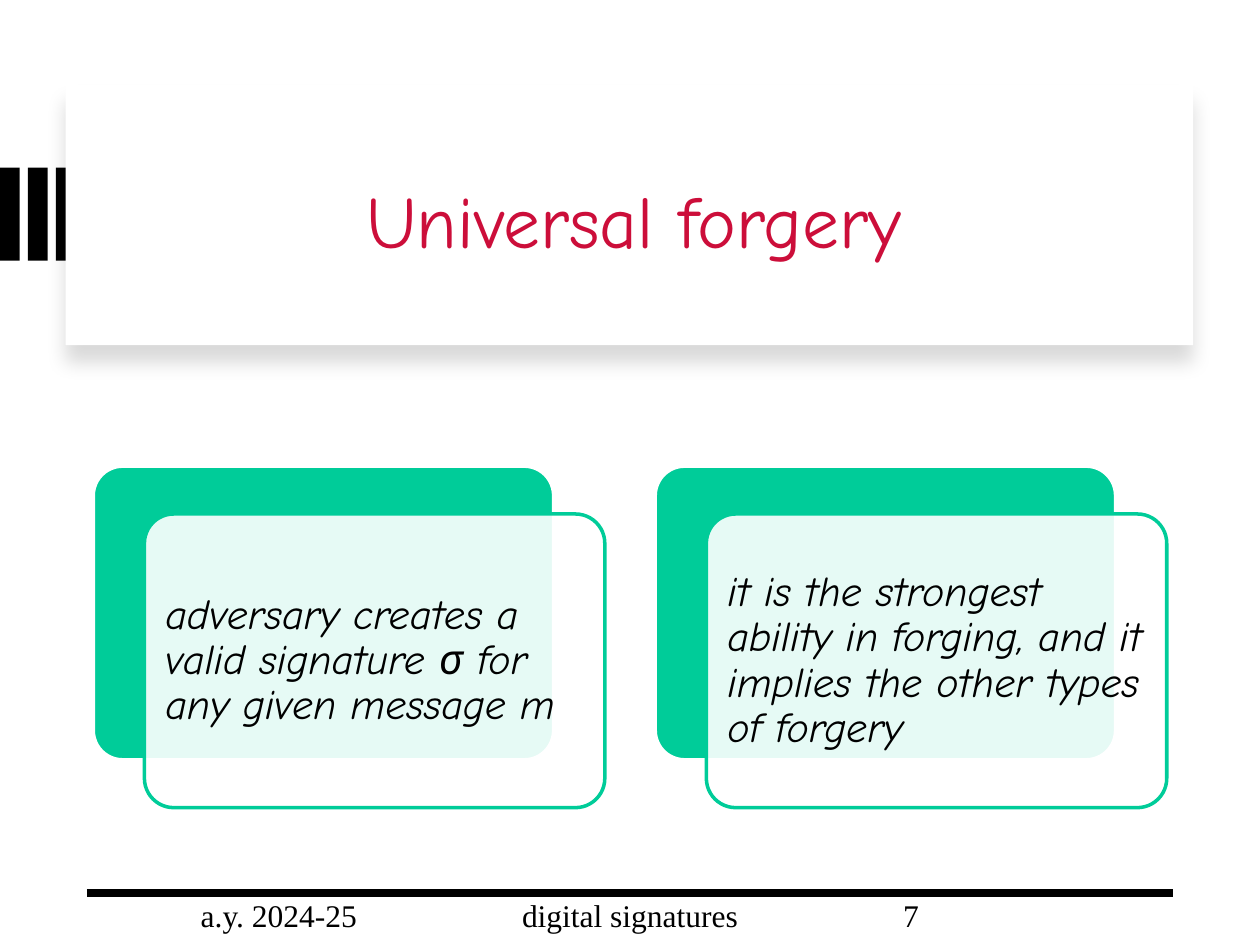
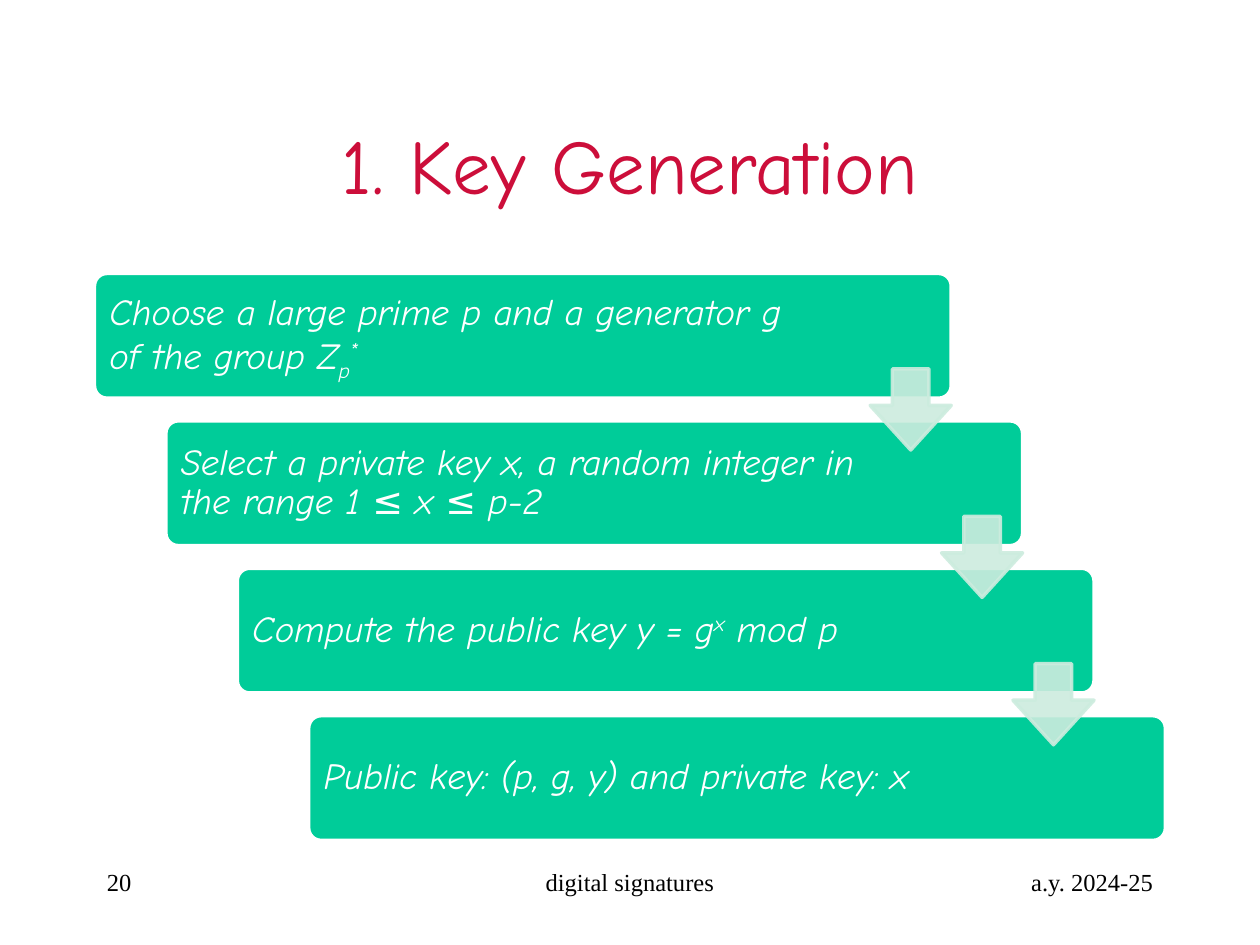
from collections import namedtuple

from lxml import etree
from pptx import Presentation
from pptx.dml.color import RGBColor
from pptx.enum.shapes import MSO_CONNECTOR as LINE, MSO_SHAPE as SHAPE
from pptx.enum.text import MSO_ANCHOR as ANCHOR, PP_ALIGN as ALIGN
from pptx.oxml.ns import qn
from pptx.util import Inches, Pt

# Shared look
COLORS = {"title": "CC0E3A", "green": "00CC99", "mint": "CCECDE",
          "black": "000000", "white": "FFFFFF"}
SCRIPT, SERIF = "Comic Neue", "Times New Roman"
SUB, SUPER = -25, 30

# Square grid: 100 columns by 75 rows
SLIDE_W, SLIDE_H = Inches(10), Inches(7.5)
COL, ROW = SLIDE_W / 100, SLIDE_H / 75
Box = namedtuple("Box", "x y w h")


def place(box):
    return [round(v * unit) for v, unit in zip(box, (COL, ROW, COL, ROW))]


def rgb(name):
    return RGBColor.from_string(COLORS[name])


def set_opacity(el, percent):
    for clr in el.iter(qn("a:srgbClr")):
        etree.SubElement(clr, qn("a:alpha"), val=str(percent * 1000))


def add_shape(s, kind, box, fill, line=None, adj=(), fill_opacity=None,
              line_opacity=None):
    sp = s.shapes.add_shape(kind, *place(box))
    sp.shadow.inherit = False
    for i, value in enumerate(adj):
        sp.adjustments[i] = value
    sp.fill.solid()
    sp.fill.fore_color.rgb = rgb(fill)
    if line:
        sp.line.color.rgb = rgb(line)
        sp.line.width = Pt(2)
    else:
        sp.line.fill.background()
    sp_pr = sp._element.spPr
    if fill_opacity:
        set_opacity(sp_pr.find(qn("a:solidFill")), fill_opacity)
    if line_opacity:
        set_opacity(sp_pr.find(qn("a:ln")), line_opacity)
    return sp


def write(sp, text, size, font=SCRIPT, color="black", italic=False,
          align=ALIGN.LEFT, anchor=ANCHOR.MIDDLE, spacing=None, margins=None):
    """Text is a string or a list of (string, baseline percent) pairs."""
    tf = sp.text_frame
    tf.word_wrap = True
    tf.vertical_anchor = anchor
    if margins:
        tf.margin_left, tf.margin_top, tf.margin_right, tf.margin_bottom = [
            round(m * COL) for m in margins]
    p = tf.paragraphs[0]
    p.alignment = align
    if spacing:
        p.line_spacing = spacing
    for part, baseline in [(text, 0)] if isinstance(text, str) else text:
        r = p.add_run()
        r.text = part
        r.font.size, r.font.name, r.font.italic = Pt(size), font, italic
        r.font.color.rgb = rgb(color)
        if baseline:
            r._r.get_or_add_rPr().set("baseline", str(baseline * 1000))


def add_text(s, box, text, size, **fmt):
    write(s.shapes.add_textbox(*place(box)), text, size, **fmt)


def add_title(s, box, text, size):
    add_text(s, box, text, size, color="title", align=ALIGN.CENTER)


def add_footer(s, box, side_share, mid_share, labels, size, spacing=None):
    """Left, centre and right labels; label alignment is given with each."""
    side, mid = box.w * side_share, box.w * mid_share
    starts = (0, (box.w - mid) / 2, box.w - side)
    for x, w, (text, align) in zip(starts, (side, mid, side), labels):
        add_text(s, Box(box.x + x, box.y, w, box.h), text, size, font=SERIF,
                 align=align, anchor=ANCHOR.TOP, spacing=spacing)


def add_stripes(s, box, count=3):
    pitch = box.w * 0.37
    for i in range(count):
        add_shape(s, SHAPE.RECTANGLE,
                  Box(box.x + i * pitch, box.y, box.w - 2 * pitch, box.h),
                  "black")


def add_banner(s, box):
    sp = add_shape(s, SHAPE.RECTANGLE, box, "white")
    effects = sp._element.spPr.find(qn("a:effectLst"))
    shadow = etree.SubElement(
        effects, qn("a:outerShdw"), blurRad=str(Pt(11)), dist=str(Pt(10)),
        dir="5400000", algn="t", rotWithShape="0")
    etree.SubElement(shadow, qn("a:srgbClr"), val=COLORS["black"])
    set_opacity(shadow, 15)


def add_rule(s, x, y, w):
    left, top, width, _ = place(Box(x, y, w, 0))
    ln = s.shapes.add_connector(LINE.STRAIGHT, left, top, left + width, top)
    ln.line.color.rgb = rgb("black")
    ln.line.width = Pt(4.5)
    etree.SubElement(ln._element.spPr, qn("a:effectLst"))


def add_cards(s, box, texts, gap=4):
    """Equal cells, each a green card with a pale card shifted over it."""
    cell = (box.w - gap * (len(texts) - 1)) / len(texts)
    w, h = cell * 0.9, box.h * 0.86
    for i, text in enumerate(texts):
        x = box.x + i * (cell + gap)
        add_shape(s, SHAPE.ROUNDED_RECTANGLE, Box(x, box.y, w, h),
                  "green", "white", [0.1])
        front = add_shape(s, SHAPE.ROUNDED_RECTANGLE,
                          Box(x + cell - w, box.y + box.h - h, w, h),
                          "white", "green", [0.1], fill_opacity=90)
        write(front, text, 24, italic=True, spacing=0.9, margins=[1] * 4)


def add_staircase(s, box, steps):
    """Steps run from top left to bottom right, joined by block arrows."""
    w, h = box.w * 0.8, box.h * 0.22
    dx, dy = [(full - part) / (len(steps) - 1)
              for full, part in ((box.w, w), (box.h, h))]
    for i, text in enumerate(steps):
        sp = add_shape(s, SHAPE.ROUNDED_RECTANGLE,
                       Box(box.x + i * dx, box.y + i * dy, w, h),
                       "green", "white", [0.1])
        write(sp, text, 21, color="white", italic=True, spacing=0.9,
              margins=(0.9, 0.9, 12.7, 0.9))
    # Arrows, each centred on the gap below a step
    size = h * 0.65
    for i in range(len(steps) - 1):
        add_shape(s, SHAPE.DOWN_ARROW,
                  Box(box.x + i * dx + w - size,
                      box.y + i * dy + (h + dy - size) / 2, size, size),
                  "mint", "mint", [0.45, 0.55],
                  fill_opacity=90, line_opacity=90)


def forgery_slide(s):
    add_stripes(s, Box(0, 13.3, 6, 7.4))
    add_banner(s, Box(5.2, 6.7, 89.5, 20.7))
    add_title(s, Box(8.6, 8.9, 83.4, 17), "Universal forgery", 42)
    add_rule(s, 6.9, 70.9, 86.2)
    add_footer(s, Box(6.9, 71, 86.2, 4), 0.26, 0.39,
               [("a.y. 2024-25", ALIGN.RIGHT),
                ("digital signatures", ALIGN.CENTER),
                ("7", ALIGN.LEFT)], 18, spacing=0.9)
    add_cards(s, Box(7.4, 37, 85.2, 27.1), [
        "adversary creates a valid signature σ for any given message m",
        "it is the strongest ability in forging, and it implies the other "
        "types of forgery"])


def key_generation_slide(s):
    add_title(s, Box(7.5, 6.7, 85, 12.5), "1. Key Generation", 44)
    add_staircase(s, Box(7.5, 21.7, 85, 45), [
        [("Choose a large prime p and a generator g of the group Z", 0),
         ("p", SUB), ("*", SUPER)],
        "Select a private key x, a random integer in the range 1 ≤ x ≤ p-2",
        [("Compute the public key y = g", 0), ("x", SUPER), (" mod p", 0)],
        "Public key: (p, g, y) and private key: x"])
    add_footer(s, Box(7.5, 68.3, 85, 5), 0.25, 0.37,
               [("20", ALIGN.LEFT),
                ("digital signatures", ALIGN.CENTER),
                ("a.y. 2024-25", ALIGN.RIGHT)], 14)


def main():
    prs = Presentation()
    prs.slide_width, prs.slide_height = SLIDE_W, SLIDE_H
    for build in (forgery_slide, key_generation_slide):
        build(prs.slides.add_slide(prs.slide_layouts[6]))
    prs.save("out.pptx")


if __name__ == "__main__":
    main()
